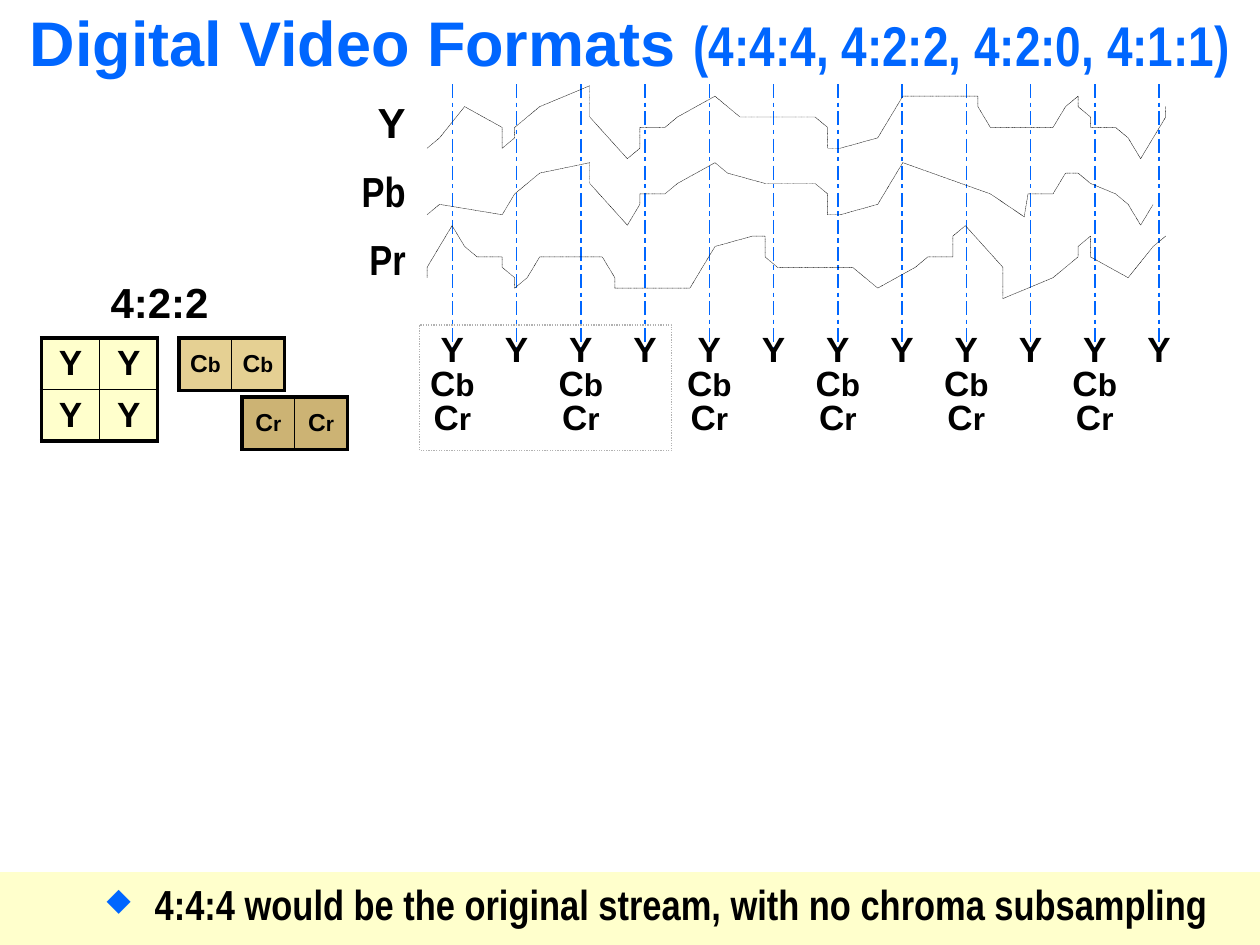
from dataclasses import dataclass

from lxml.etree import SubElement
from pptx import Presentation
from pptx.dml.color import RGBColor
from pptx.enum.dml import MSO_LINE
from pptx.enum.shapes import MSO_SHAPE as Shape
from pptx.enum.text import MSO_ANCHOR as Anchor, MSO_AUTO_SIZE as AutoSize, PP_ALIGN as Align
from pptx.oxml.ns import qn
from pptx.util import Cm, Pt


@dataclass(frozen=True)
class Theme:
    """Colours, fonts and type sizes of the slide."""
    accent: str = "0066FF"
    ink: str = "000000"
    cream: str = "FFFFCC"
    blue_chroma: str = "E5D093"
    red_chroma: str = "CCB374"
    outline: str = "B2B2B2"
    sans: str = "Arial"
    narrow: str = "Arial Narrow"
    title: int = 36
    subtitle: int = 32
    label: int = 24
    sample: int = 20
    sample_suffix: int = 18
    chroma: int = 14
    chroma_suffix: int = 12


THEME = Theme()
SAMPLES = 12
FIRST_SAMPLE = 9.12
SAMPLE_STEP = 1.295
WAVE_LEFT = 8.61
WAVE_STEP = 14.89 / 59
WAVE_LEVEL = 0.21

LUMA_WAVE = [
    (0, 6), (1, 5), (3, 2), (6, 4), (6, 6), (7, 5), (7, 4), (9, 2), (13, 0), (13, 3),
    (16, 7), (17, 6), (17, 4), (19, 4), (20, 3), (23, 1), (25, 3), (31, 3), (32, 4),
    (32, 6), (33, 6), (36, 5), (38, 1), (44, 1), (44, 2), (45, 4), (50, 4), (51, 2),
    (52, 1), (52, 2), (53, 3), (53, 4), (55, 4), (56, 5), (57, 7), (59, 3), (59, 2)]
PB_WAVE = [
    (0, 5), (1, 4), (6, 5), (7, 3), (9, 1), (13, 0), (13, 2), (16, 6), (17, 4), (17, 3),
    (19, 3), (20, 2), (23, 0), (24, 1), (27, 2), (31, 2), (32, 3), (32, 5), (33, 5),
    (36, 4), (38, 0), (45, 3), (47.7, 5.2), (48, 3), (50, 3), (51, 1), (52, 1), (53, 2),
    (55, 3), (56, 4), (57, 6), (58, 4)]
PR_WAVE = [
    (0, 5), (0, 4), (2, 0), (3, 2), (4, 3), (6, 3), (6, 4), (7, 5), (7, 6), (8, 5),
    (9, 3), (14, 3), (15, 5), (15, 6), (21, 6), (23, 2), (26, 1), (27, 1), (27, 3),
    (28, 4), (34, 4), (36, 6), (39, 4), (40, 3), (42, 3), (42, 1), (43, 0), (46, 4),
    (46, 7), (50, 5), (52, 3), (52, 2), (53, 1), (53, 3), (56, 5), (58, 2), (59, 1)]


def rgb(color):
    """Turn a hex string into a colour."""
    return RGBColor.from_string(color)


def write_text(frame, lines, *, font=THEME.sans, color=THEME.ink, align=Align.CENTER, spacing=None):
    """Fill a text frame with lines made of (text, size[, font]) runs."""
    for index, line in enumerate(lines):
        paragraph = frame.add_paragraph() if index else frame.paragraphs[0]
        paragraph.alignment = align
        if spacing:
            paragraph.line_spacing = spacing
        for text, size, *own_font in line:
            run = paragraph.add_run()
            run.text = text
            run.font.size = Pt(size)
            run.font.name = own_font[0] if own_font else font
            run.font.bold = True
            run.font.color.rgb = rgb(color)


def add_text(slide, box, lines, *, wrap=False, grow=True, spacing=0.8, **text_format):
    """Add a text box and return its frame."""
    frame = slide.shapes.add_textbox(*map(Cm, box)).text_frame
    frame.word_wrap = wrap
    frame.auto_size = AutoSize.SHAPE_TO_FIT_TEXT if grow else AutoSize.NONE
    write_text(frame, lines, spacing=spacing, **text_format)
    return frame


def add_bullet(paragraph, indent):
    """Give a paragraph a hanging diamond bullet."""
    properties = paragraph._p.get_or_add_pPr()
    properties.set("marL", str(Cm(indent)))
    properties.set("indent", str(-Cm(indent)))
    SubElement(SubElement(properties, qn("a:buClr")), qn("a:srgbClr"), val=THEME.accent)
    SubElement(properties, qn("a:buSzPct"), val="75000")
    SubElement(properties, qn("a:buChar"), char="◆")


def add_rectangle(slide, box, *, fill=None, line=None):
    """Add a plain rectangle with a fill or a dotted outline."""
    rectangle = slide.shapes.add_shape(Shape.RECTANGLE, *map(Cm, box))
    rectangle.shadow.inherit = False
    if fill:
        rectangle.fill.solid()
        rectangle.fill.fore_color.rgb = rgb(fill)
    else:
        rectangle.fill.background()
    if line:
        rectangle.line.color.rgb = rgb(line)
        rectangle.line.width = Pt(0.75)
        rectangle.line.dash_style = MSO_LINE.ROUND_DOT
    else:
        rectangle.line.fill.background()


def add_wave(slide, top, levels):
    """Draw a signal through (step, level) points."""
    points = [(Cm(WAVE_LEFT + step * WAVE_STEP), Cm(top + level * WAVE_LEVEL))
              for step, level in levels]
    builder = slide.shapes.build_freeform(*points[0])
    builder.add_line_segments(points[1:], close=False)
    wave = builder.convert_to_shape()
    wave.shadow.inherit = False
    wave.fill.background()
    wave.line.color.rgb = rgb(THEME.ink)
    wave.line.width = Pt(0.25)
    wave.line.dash_style = MSO_LINE.ROUND_DOT


def set_border(cell, side, width, color, dash):
    """Set one cell border, or clear it when the width is zero."""
    border = SubElement(cell._tc.get_or_add_tcPr(), qn(f"a:ln{side}"), w=str(Pt(width)))
    if not width:
        SubElement(border, qn("a:noFill"))
        return
    SubElement(SubElement(border, qn("a:solidFill")), qn("a:srgbClr"), val=color)
    SubElement(border, qn("a:prstDash"), val=dash)


def add_grid(slide, left, top, rows, columns, cell_size, *, inner, outer=0,
             color=THEME.ink, dash="solid", fill=None, runs=(), side_margin=0.25):
    """Add a table of equal cells; inner gives the column and row line widths."""
    width, height = cell_size
    table = slide.shapes.add_table(rows, columns, Cm(left), Cm(top),
                                   Cm(width * columns), Cm(height * rows)).table
    table.first_row = table.horz_banding = False
    for row in range(rows):
        for column in range(columns):
            cell = table.cell(row, column)
            edges = {"L": (column == 0, inner[0]), "R": (column == columns - 1, inner[0]),
                     "T": (row == 0, inner[1]), "B": (row == rows - 1, inner[1])}
            for side, (is_outer, line) in edges.items():
                set_border(cell, side, outer if is_outer else line, color, dash)
            if fill:
                cell.fill.solid()
                cell.fill.fore_color.rgb = rgb(fill)
            else:
                cell.fill.background()
            cell.vertical_anchor = Anchor.MIDDLE
            cell.margin_left = cell.margin_right = Cm(side_margin)
            if runs:
                write_text(cell.text_frame, [runs])


def add_samples(slide):
    """Place luma under every sampling line and chroma under every other one."""
    luma = [("Y", THEME.sample)]
    chroma = [[("C", THEME.sample), (suffix, THEME.sample_suffix)] for suffix in "br"]
    for index in range(SAMPLES):
        has_chroma = index % 2 == 0
        width, height = (1.42, 2.29) if has_chroma else (1, 0.94)
        center = FIRST_SAMPLE + index * SAMPLE_STEP
        add_text(slide, (center - width / 2, 6.65, width, height),
                 [luma] + (chroma if has_chroma else []))


def main():
    """Build the slide on digital video formats."""
    deck = Presentation()
    deck.slide_width, deck.slide_height = Cm(25.4), Cm(19.05)
    slide = deck.slides.add_slide(deck.slide_layouts[6])

    add_rectangle(slide, (0, 17.58, 25.4, 1.47), fill=THEME.cream)
    add_grid(slide, FIRST_SAMPLE - SAMPLE_STEP, 1.7, 4, SAMPLES + 1, (SAMPLE_STEP, 1.34),
             inner=(1, 0), color=THEME.accent, dash="sysDashDot")
    title = add_text(slide, (0, 0.15, 25.4, 1.7),
                     [[("Digital Video Formats ", THEME.title),
                       ("(4:4:4, 4:2:2, 4:2:0, 4:1:1)", THEME.subtitle, THEME.narrow)]],
                     wrap=True, grow=False, spacing=0.75, color=THEME.accent)
    title.margin_left = title.margin_right = Cm(0.13)
    title.vertical_anchor = Anchor.MIDDLE

    add_grid(slide, 0.84, 6.81, 2, 2, (1.17, 0.97), inner=(1, 1), outer=2.25,
             fill=THEME.cream, runs=[("Y", THEME.sample)])
    for left, top, suffix, fill in ((3.61, 6.81, "b", THEME.blue_chroma),
                                    (4.88, 8, "r", THEME.red_chroma)):
        add_grid(slide, left, top, 1, 2, (1.06, 1.06), inner=(1, 1), outer=2.25, fill=fill,
                 runs=[("C", THEME.chroma), (suffix, THEME.chroma_suffix)], side_margin=0)

    for name, font, label_top, width, wave_top, wave in (
            ("Y", THEME.sans, 2.01, 1.07, 1.73, LUMA_WAVE),
            ("Pb", THEME.narrow, 3.4, 1.4, 3.28, PB_WAVE),
            ("Pr", THEME.narrow, 4.78, 1.24, 4.55, PR_WAVE)):
        add_text(slide, (8.43 - width, label_top, width, 1.07), [[(name, THEME.label)]],
                 font=font, align=Align.RIGHT)
        add_wave(slide, wave_top, wave)

    add_samples(slide)
    add_text(slide, (1.98, 5.64, 2.49, 1.07), [[("4:2:2", THEME.label)]], align=Align.LEFT)
    remark = add_text(
        slide, (1.9, 17.78, 23.06, 1.07),
        [[("4:4:4 would be the original stream, with no chroma subsampling", THEME.label)]],
        wrap=True, font=THEME.narrow, align=Align.LEFT)
    add_bullet(remark.paragraphs[0], 0.97)
    add_rectangle(slide, (8.46, 6.55, 5.08, 2.54), line=THEME.outline)
    deck.save("out.pptx")


if __name__ == "__main__":
    main()
